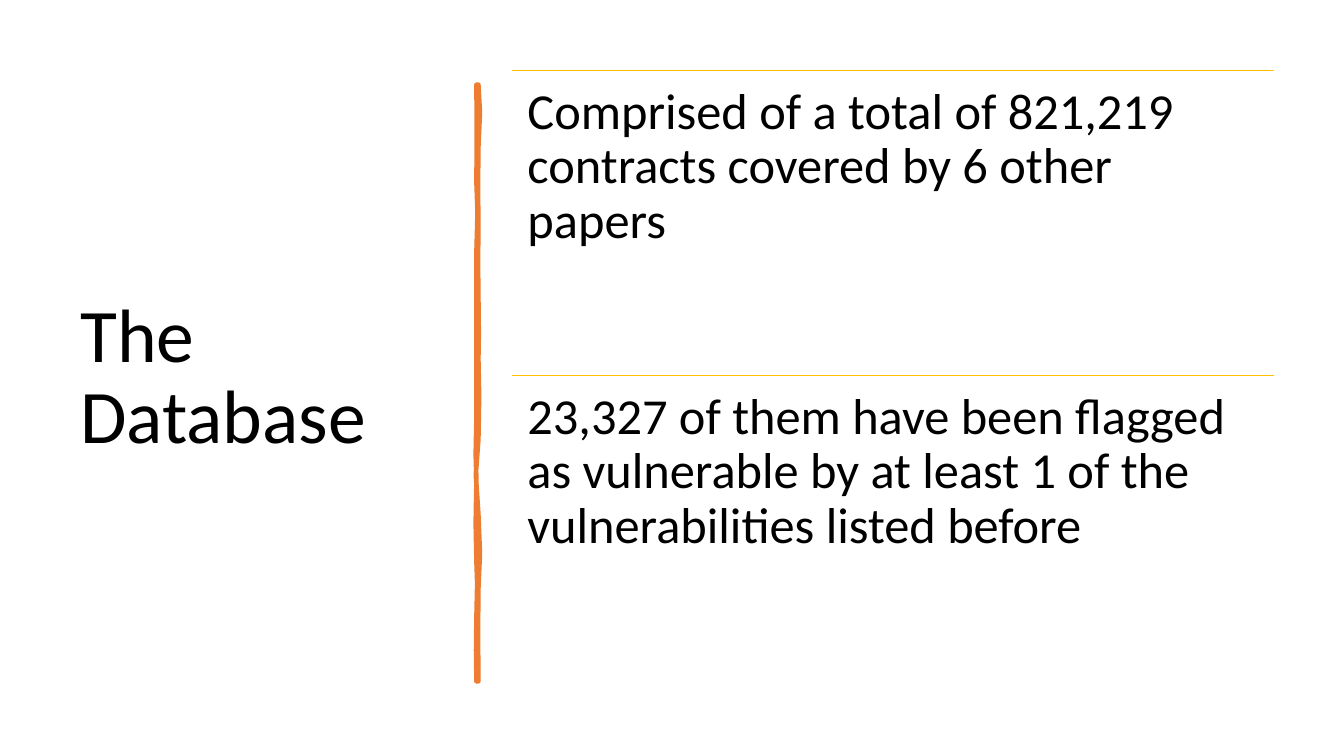
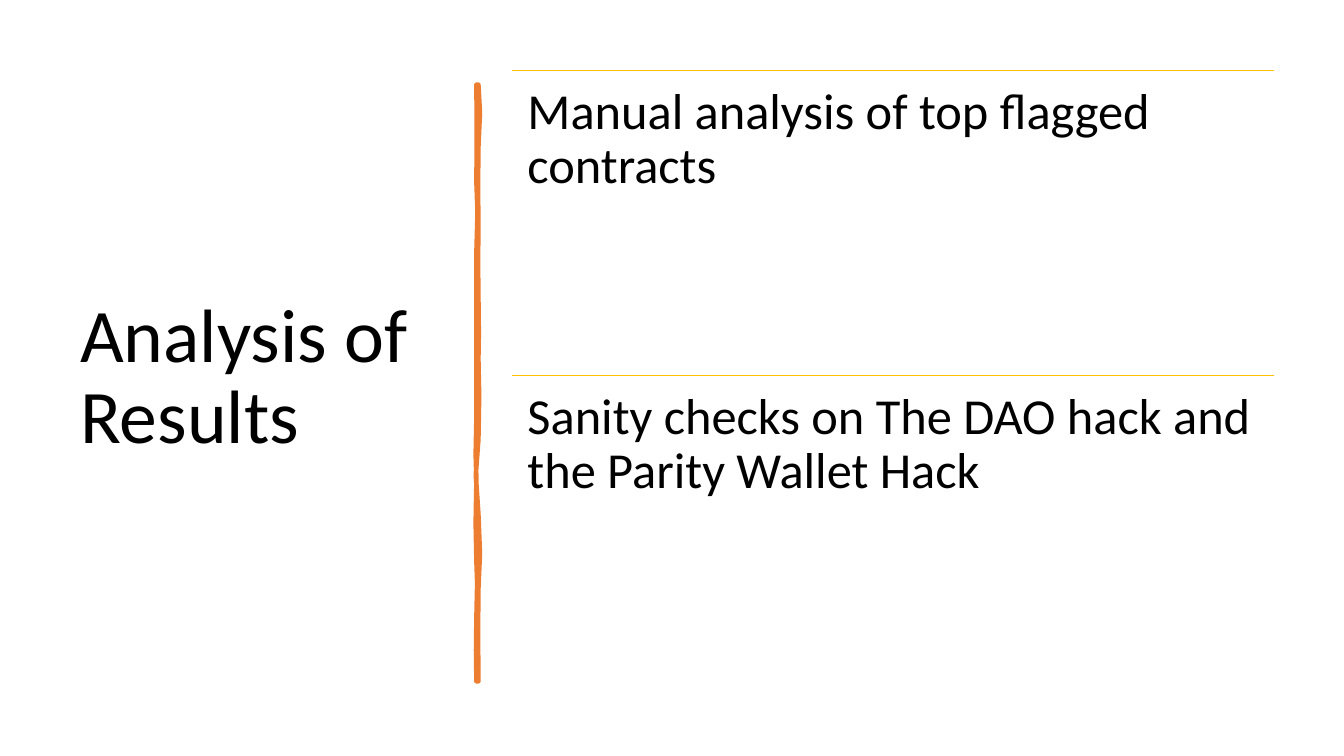
import collections

import pptx
import pptx.dml.color
import pptx.enum.shapes
import pptx.enum.text
import pptx.oxml
import pptx.oxml.ns
import pptx.util

COLORS = {"text": "000000", "stroke": "ED7D31", "rule": "FFC000"}
FONT = "Calibri"
TITLE_ONLY = 5

# Grid of 100 columns by 100 rows
WIDTH, HEIGHT = pptx.util.Inches(13.33), pptx.util.Inches(7.5)
Box = collections.namedtuple("Box", "left top width height")


def grid(left, top, width, height):
    return Box(int(left * WIDTH / 100), int(top * HEIGHT / 100),
               int(width * WIDTH / 100), int(height * HEIGHT / 100))


TITLE_BOX = grid(5.22, 9.33, 28.06, 81.47)
STROKE_BOX = grid(35.45, 11.2, 0.15, 78.93)
POINTS_BOX = grid(38.12, 9.33, 56.64, 80.7)

# Brush stroke: cubic curves (two handles, end point), x in half widths
# from the centre line, y in steps down the length
STROKE_STEPS = 592
STROKE_START = (1, 0)
STROKE_CURVES = [
    # right edge, downwards
    ((3, 18), (3, 35), (1, 62)),
    ((-1, 89), (2, 111), (1, 142)),
    ((0, 173), (1, 178), (1, 210)),
    ((0, 241), (3, 258), (1, 272)),
    ((-1, 286), (5, 330), (1, 352)),
    ((-3, 373), (-2, 400), (1, 426)),
    ((3, 452), (3, 480), (1, 500)),
    ((-1, 519), (2, 566), (1, 592)),
    ((0, 592), (-1, 592), (-1, 592)),
    # left edge, upwards
    ((0, 562), (-3, 560), (-1, 529)),
    ((0, 499), (0, 486), (-1, 473)),
    ((-2, 460), (-2, 411), (-1, 393)),
    ((-1, 375), (-3, 361), (-1, 331)),
    ((0, 302), (-2, 289), (-1, 251)),
    ((0, 214), (-2, 197), (-1, 166)),
    ((0, 134), (1, 116), (-1, 97)),
    ((-4, 79), (3, 20), (-1, 0)),
]

SLIDES = [
    ("The Database", [
        "Comprised of a total of 821,219 contracts covered by 6 other papers",
        "23,327 of them have been flagged as vulnerable by at least 1 of the "
        "vulnerabilities listed before",
    ]),
    ("Analysis of Results", [
        "Manual analysis of top flagged contracts",
        "Sanity checks on The DAO hack and the Parity Wallet Hack",
    ]),
]


def color(name):
    return pptx.dml.color.RGBColor.from_string(COLORS[name])


def write(frame, text, size, anchor):
    frame.word_wrap = True
    frame.auto_size = pptx.enum.text.MSO_AUTO_SIZE.NONE
    frame.vertical_anchor = anchor
    frame.text = text
    para = frame.paragraphs[0]
    para.alignment = pptx.enum.text.PP_ALIGN.LEFT
    para.line_spacing = 0.9
    para.font.name = FONT
    para.font.size = pptx.util.Pt(size)
    para.font.color.rgb = color("text")


def add_title(page, box, text):
    title = page.shapes.title
    title.left, title.top, title.width, title.height = box
    write(title.text_frame, text, 54, pptx.enum.text.MSO_ANCHOR.MIDDLE)


def curve_points(start, curves, pieces=2):
    for first, second, end in curves:
        for piece in range(1, pieces + 1):
            t = piece / pieces
            weights = ((1 - t) ** 3, 3 * t * (1 - t) ** 2, 3 * t ** 2 * (1 - t), t ** 3)
            corners = (start, first, second, end)
            yield tuple(sum(w * c[axis] for w, c in zip(weights, corners))
                        for axis in (0, 1))
        start = end


def add_stroke(page, box):
    def place(point):
        return (box.left + box.width * (point[0] + 1) / 2,
                box.top + box.height * point[1] / STROKE_STEPS)

    builder = page.shapes.build_freeform(*place(STROKE_START))
    builder.add_line_segments(
        [place(point) for point in curve_points(STROKE_START, STROKE_CURVES)])
    stroke = builder.convert_to_shape()
    stroke.shadow.inherit = False
    stroke.fill.solid()
    stroke.fill.fore_color.rgb = color("stroke")
    stroke.line.color.rgb = color("stroke")
    stroke.line.width = pptx.util.Pt(3.25)
    # Rounded corners
    outline = stroke.line._get_or_add_ln()
    outline.append(pptx.oxml.parse_xml(
        "<a:round %s/>" % pptx.oxml.ns.nsdecls("a")))


def add_rule(page, left, top, width):
    rule = page.shapes.add_connector(
        pptx.enum.shapes.MSO_CONNECTOR.STRAIGHT, left, top, left + width, top)
    rule.line.color.rgb = color("rule")
    rule.line.width = pptx.util.Pt(1)
    rule._element.spPr.append(pptx.oxml.parse_xml(
        "<a:effectLst %s/>" % pptx.oxml.ns.nsdecls("a")))


def add_points(page, box, points):
    row = box.height // len(points)
    for index, text in enumerate(points):
        top = box.top + index * row
        add_rule(page, box.left, top, box.width)
        frame = page.shapes.add_textbox(box.left, top, box.width, row).text_frame
        frame.margin_left = frame.margin_right = pptx.util.Inches(0.15)
        frame.margin_top = frame.margin_bottom = pptx.util.Inches(0.15)
        write(frame, text, 36, pptx.enum.text.MSO_ANCHOR.TOP)


def add_page(deck, title, points):
    page = deck.slides.add_slide(deck.slide_layouts[TITLE_ONLY])
    add_title(page, TITLE_BOX, title)
    add_stroke(page, STROKE_BOX)
    add_points(page, POINTS_BOX, points)


def main():
    deck = pptx.Presentation()
    deck.slide_width, deck.slide_height = WIDTH, HEIGHT
    for title, points in SLIDES:
        add_page(deck, title, points)
    deck.save("out.pptx")


if __name__ == "__main__":
    main()
